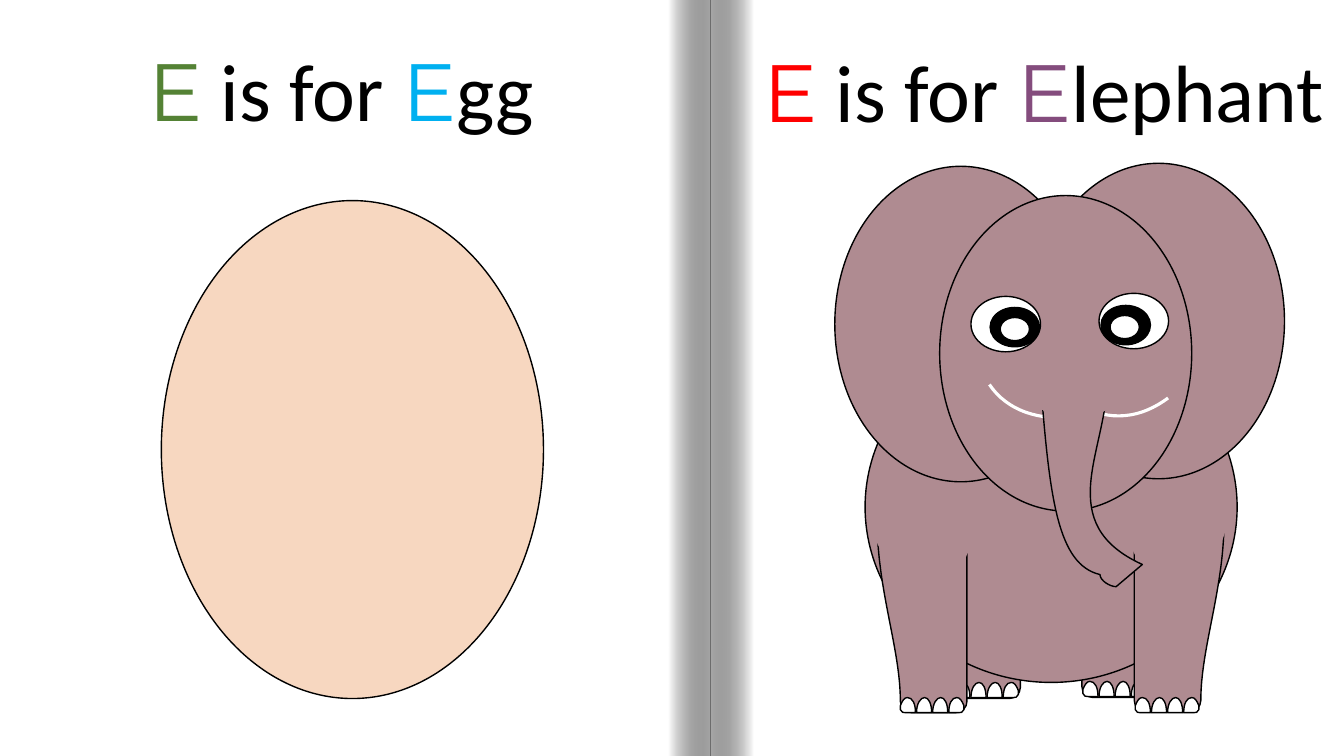
from lxml.etree import SubElement
from pptx import Presentation
from pptx.dml.color import RGBColor
from pptx.enum.shapes import MSO_SHAPE
from pptx.enum.text import MSO_AUTO_SIZE, PP_ALIGN
from pptx.oxml.ns import qn
from pptx.oxml.xmlchemy import OxmlElement
from pptx.util import Inches, Pt

W, H = 13.33, 7.5
COLORS = {"white": "FFFFFF", "black": "000000", "red": "FF0000",
          "purple": "844C7D", "green": "548235", "blue": "00B0F0",
          "hide": "AF8B91", "egg": "F7D7C0"}

# Titles: box, then (text, font, colour) runs
TITLES = [
    ((7.4, 0.36, 5.9, 1.08),
     [("E", "Montserrat", "red"), (" is for ", "Calibri", "black"),
      ("E", "Montserrat", "purple"), ("lephant", "Calibri", "black")]),
    ((0.04, 0.35, 6.68, 1.08),
     [("E", "Montserrat", "green"), (" is for ", "Calibri", "black"),
      ("E", "Montserrat", "blue"), ("gg", "Calibri", "black")]),
]
TITLE_SIZE = 58

# Page fold: left edge and gradient angle of each half
FOLD_X, FOLD_W = 7.05, 0.42
FOLD = [(FOLD_X, 180), (FOLD_X - FOLD_W, 0)]

# Outlines: start point, then line ends (2 numbers) or curves (6 numbers)
LEG_W = 0.89
LEG = [(0.89, 0.45), (0.89, 0.39, 0.84, 0.34, 0.78, 0.34), (0.34, 0.34),
       (0.28, 0.34, 0.09, -0.05, 0.09, 0.01),
       (0.02, 0.27, 0, 0.51, 0, 0.75), (0, 1.44, 0.23, 2.01, 0.23, 2.54),
       (0.23, 2.6, 0.28, 2.65, 0.34, 2.65), (0.78, 2.65),
       (0.84, 2.65, 0.89, 2.6, 0.89, 2.54)]
TOE_W, TOE_STEP, TOES = 0.15, 0.16, 4
SIDE_TOE = [(0.07, 0), (0.04, 0, 0.02, 0.03, 0, 0.08), (0, 0.12),
            (0.01, 0.15, 0.03, 0.15, 0.05, 0.15), (0.15, 0.15),
            (0.15, 0.06, 0.12, 0, 0.07, 0)]
MID_TOE = [(0.08, 0), (0.04, 0, 0, 0.06, 0, 0.15), (0.15, 0.15),
           (0.15, 0.06, 0.12, 0, 0.08, 0)]
TRUNK = [(0.66, 0.11), (0.66, 0.05, 0.61, 0, 0.55, 0), (0.11, 0),
         (0.05, 0, 0, 0.05, 0, 0.11), (0.09, 1.28, 0.17, 1.93, 0.59, 2.03),
         (0.59, 2.09, 0.69, 2.15, 0.75, 2.15), (1.01, 1.93),
         (0.11, 1.52, 0.66, 0.8, 0.66, 0.11)]

# Legs: left, top, mirrored, left and top of the toes
BACK_LEGS = [(9.23, 4.28, False, 9.47, 6.77), (10.73, 4.27, True, 10.74, 6.76)]
FRONT_LEGS = [(8.7, 4.42, False, 8.93, 6.92), (11.25, 4.41, True, 11.26, 6.92)]
SHOULDERS = [((8.62, 4.3, 1.04, 1.5), 351.3), ((11.15, 4.27, 1.04, 1.5), 3.6)]

BODY = (8.58, 3.29, 3.69, 3.48)
HEAD_PARTS = [(x, y, 2.5, 3.13) for x, y in
              ((10.24, 1.62), (8.28, 1.65), (9.32, 1.94))]
EYE_LAYERS = [(0.69, 0.55, "white"), (0.49, 0.39, "black"), (0.29, 0.23, "white")]
EYES = [[(9.63, 2.94), (9.82, 3.05), (9.92, 3.15)],
        [(10.9, 2.91), (10.92, 3.03), (11.01, 3.13)]]
SMILE = [((9.89, 2.06, 1.73, 2.26), 236.4), ((10.34, 1.88, 1.73, 2.26), 194.1)]
SMILE_ARC = (162, 183.72)
TRUNK_AT = (10.32, 3.67)
TRUNK_TOP = (10.2, 3.51, 0.91, 0.64)
EGG = (1.6, 1.99, 3.79, 4.94)


def rgb(name):
    return RGBColor.from_string(COLORS[name])


def paint(sp, fill, line="black", width=1):
    sp.shadow.inherit = False
    if fill:
        sp.fill.solid()
        sp.fill.fore_color.rgb = rgb(fill)
    else:
        sp.fill.background()
    if line:
        sp.line.color.rgb = rgb(line)
        sp.line.width = Pt(width)
    else:
        sp.line.fill.background()
    return sp


def preset(shapes, kind, box, fill, line="black", width=1, rotation=0):
    sp = shapes.add_shape(kind, *map(Inches, box))
    sp.rotation = rotation
    return paint(sp, fill, line, width)


def oval(shapes, box, fill="hide", line="black", rotation=0):
    return preset(shapes, MSO_SHAPE.OVAL, box, fill, line, rotation=rotation)


def freeform(shapes, outline, left, top, fill, mirror_w=None):
    """Draw an outline, mirrored within mirror_w when that is given."""
    placed = [[(Inches(left + (mirror_w - x if mirror_w else x)), Inches(top + y))
               for x, y in zip(seg[::2], seg[1::2])] for seg in outline]
    builder = shapes.build_freeform(*placed[0][0], scale=1.0)
    builder.add_line_segments([seg[-1] for seg in placed[1:]], close=True)
    sp = builder.convert_to_shape()
    # Bend the segments that have control points
    lines = list(sp._element.iter(qn("a:lnTo")))
    for line, seg in zip(lines, placed[1:]):
        if len(seg) == 3:
            curve = OxmlElement("a:cubicBezTo")
            for x, y in seg:
                SubElement(curve, qn("a:pt"), x=str(x - sp.left), y=str(y - sp.top))
            line.getparent().replace(line, curve)
    return paint(sp, fill)


def leg(shapes, left, top, mirrored):
    freeform(shapes, LEG, left, top, "hide", LEG_W if mirrored else None)


def toes(shapes, left, top):
    for i in range(TOES):
        outline = SIDE_TOE if i in (0, TOES - 1) else MID_TOE
        freeform(shapes, outline, left + i * TOE_STEP, top, "white",
                 TOE_W if i == TOES - 1 else None)


def draw_pages(shapes):
    preset(shapes, MSO_SHAPE.RECTANGLE, (0, 0, W, H), "white", None)
    for left, angle in FOLD:
        sp = preset(shapes, MSO_SHAPE.RECTANGLE, (left, 0, FOLD_W, H), "white", None)
        sp.fill.gradient()
        sp.fill.gradient_angle = angle
        for stop, name in zip(sp.fill.gradient_stops, ("white", "black")):
            stop.color.rgb = rgb(name)
        dark = sp._element.spPr.findall(".//" + qn("a:srgbClr"))[-1]
        SubElement(dark, qn("a:alpha"), val="34000")


def draw_title(shapes, box, runs):
    tf = shapes.add_textbox(*map(Inches, box)).text_frame
    tf.word_wrap = True
    tf.auto_size = MSO_AUTO_SIZE.SHAPE_TO_FIT_TEXT
    p = tf.paragraphs[0]
    p.alignment = PP_ALIGN.CENTER
    for text, font, color in runs:
        r = p.add_run()
        r.text = text
        for key, value in {"name": font, "size": Pt(TITLE_SIZE)}.items():
            setattr(r.font, key, value)
        r.font.color.rgb = rgb(color)


def draw_elephant(shapes):
    # Back legs, body, front legs
    for left, top, mirrored, toe_x, toe_y in BACK_LEGS:
        leg(shapes, left, top, mirrored)
        toes(shapes, toe_x, toe_y)
    oval(shapes, BODY)
    for (left, top, mirrored, toe_x, toe_y), (box, angle) in zip(FRONT_LEGS, SHOULDERS):
        leg(shapes, left, top, mirrored)
        oval(shapes, box, line=None, rotation=angle)
        toes(shapes, toe_x, toe_y)
    # Ears, head and eyes
    for box in HEAD_PARTS:
        oval(shapes, box)
    for eye in EYES:
        for (x, y), (w, h, color) in zip(eye, EYE_LAYERS):
            oval(shapes, (x, y, w, h), color)
    # Smile and trunk
    for box, angle in SMILE:
        sp = preset(shapes, MSO_SHAPE.ARC, box, None, "white", 2.25, angle)
        sp._element.spPr.find(qn("a:xfrm")).set("flipH", "1")
        for i, value in enumerate(SMILE_ARC):
            sp.adjustments[i] = value
    freeform(shapes, TRUNK, *TRUNK_AT, "hide")
    oval(shapes, TRUNK_TOP, line="hide")


def main():
    prs = Presentation()
    prs.slide_width, prs.slide_height = Inches(W), Inches(H)
    s = prs.slides.add_slide(prs.slide_layouts[6])
    s.background.fill.solid()
    s.background.fill.fore_color.rgb = rgb("black")
    draw_pages(s.shapes.add_group_shape().shapes)
    for box, runs in TITLES:
        draw_title(s.shapes, box, runs)
    draw_elephant(s.shapes.add_group_shape().shapes)
    oval(s.shapes, EGG, "egg")
    prs.save("out.pptx")


if __name__ == "__main__":
    main()
